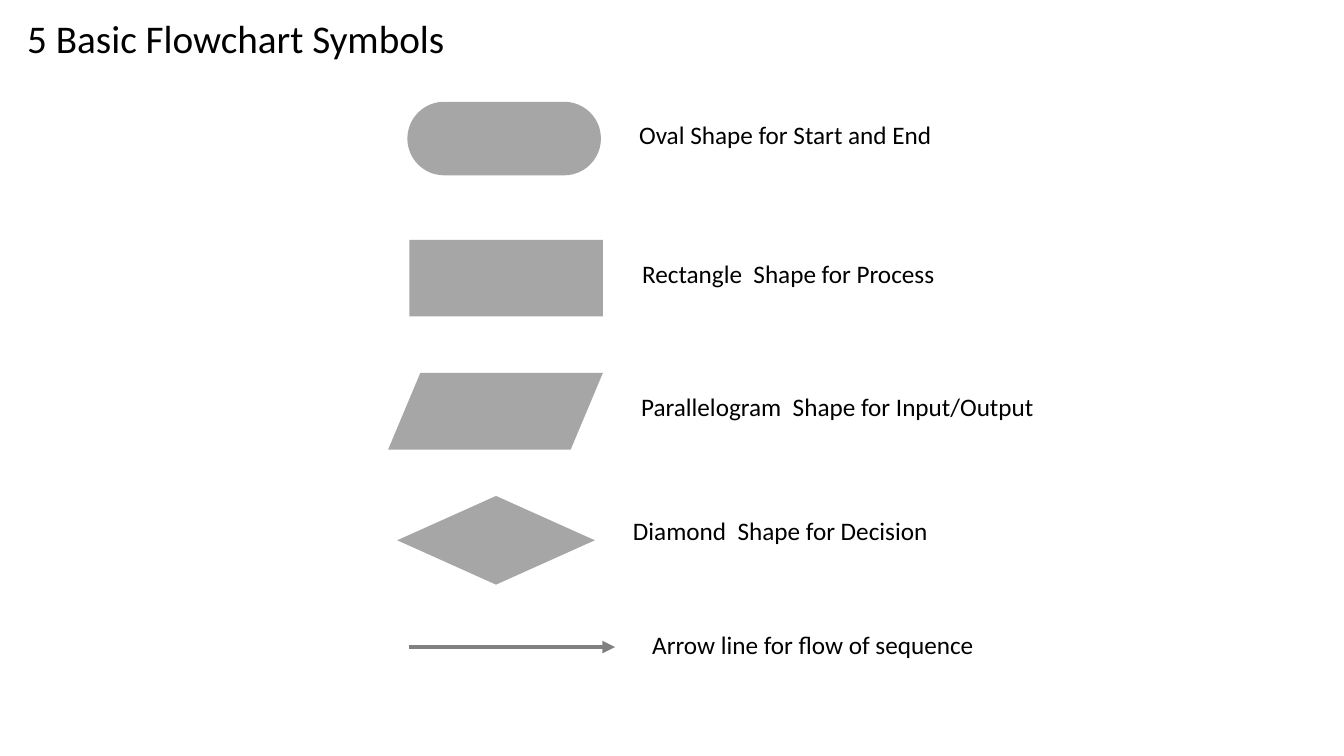
from pptx import Presentation
from pptx.dml.color import RGBColor
from pptx.enum.shapes import MSO_CONNECTOR, MSO_SHAPE as SHAPE
from pptx.enum.text import MSO_ANCHOR, PP_ALIGN
from pptx.oxml.ns import qn
from pptx.util import Inches, Pt
from lxml import etree

BLACK = RGBColor(0x00, 0x00, 0x00)
SYMBOL_GRAY = RGBColor(0xA6, 0xA6, 0xA6)
ARROW_GRAY = RGBColor(0x80, 0x80, 0x80)


def set_text(sp, text, size):
    tf = sp.text_frame
    tf.text = text
    tf.word_wrap = True
    tf.vertical_anchor = MSO_ANCHOR.TOP
    p = tf.paragraphs[0]
    p.alignment = PP_ALIGN.LEFT
    p.font.name = "Calibri"
    p.font.size = Pt(size)
    p.font.color.rgb = BLACK


prs = Presentation()
prs.slide_width, prs.slide_height = Inches(13.33), Inches(7.5)
s = prs.slides.add_slide(prs.slide_layouts[5])

# Title
title = s.shapes.title
title.left, title.top = Inches(0.17), Inches(0.09)
title.width, title.height = Inches(5.94), Inches(0.57)
set_text(title, "5 Basic Flowchart Symbols", 28)

# Symbols: preset, adjustment, left, top, width, height
symbols = [
    (SHAPE.ROUNDED_RECTANGLE, 0.5, 4.04, 1.01, 1.92, 0.73),
    (SHAPE.RECTANGLE, None, 4.06, 2.38, 1.92, 0.76),
    (SHAPE.PARALLELOGRAM, 0.42, 3.85, 3.7, 2.13, 0.76),
    (SHAPE.DIAMOND, None, 3.94, 4.92, 1.96, 0.88),
]
for preset, adjustment, *box in symbols:
    sp = s.shapes.add_shape(preset, *map(Inches, box))
    if adjustment is not None:
        sp.adjustments[0] = adjustment
    sp.shadow.inherit = False
    sp.fill.solid()
    sp.fill.fore_color.rgb = SYMBOL_GRAY
    sp.line.fill.background()

# Flow arrow
arrow_y = Inches(6.42)
arrow = s.shapes.add_connector(MSO_CONNECTOR.STRAIGHT, Inches(4.06), arrow_y, Inches(6.1), arrow_y)
arrow.line.color.rgb = ARROW_GRAY
arrow.line.width = Pt(3)
etree.SubElement(arrow.line._get_or_add_ln(), qn("a:tailEnd"), type="triangle")
etree.SubElement(arrow._element.spPr, qn("a:effectLst"))

# Labels: text, left, top, width, height
labels = [
    ("Oval Shape for Start and End", 6.24, 1.13, 3.38, 0.4),
    ("Rectangle  Shape for Process", 6.27, 2.51, 3.38, 0.4),
    ("Parallelogram  Shape for Input/Output", 6.26, 3.83, 4.95, 0.4),
    ("Diamond  Shape for Decision", 6.18, 5.06, 5.04, 0.47),
    ("Arrow line for flow of sequence", 6.37, 6.19, 4.95, 0.4),
]
for text, *box in labels:
    set_text(s.shapes.add_textbox(*map(Inches, box)), text, 18)

prs.save("out.pptx")
